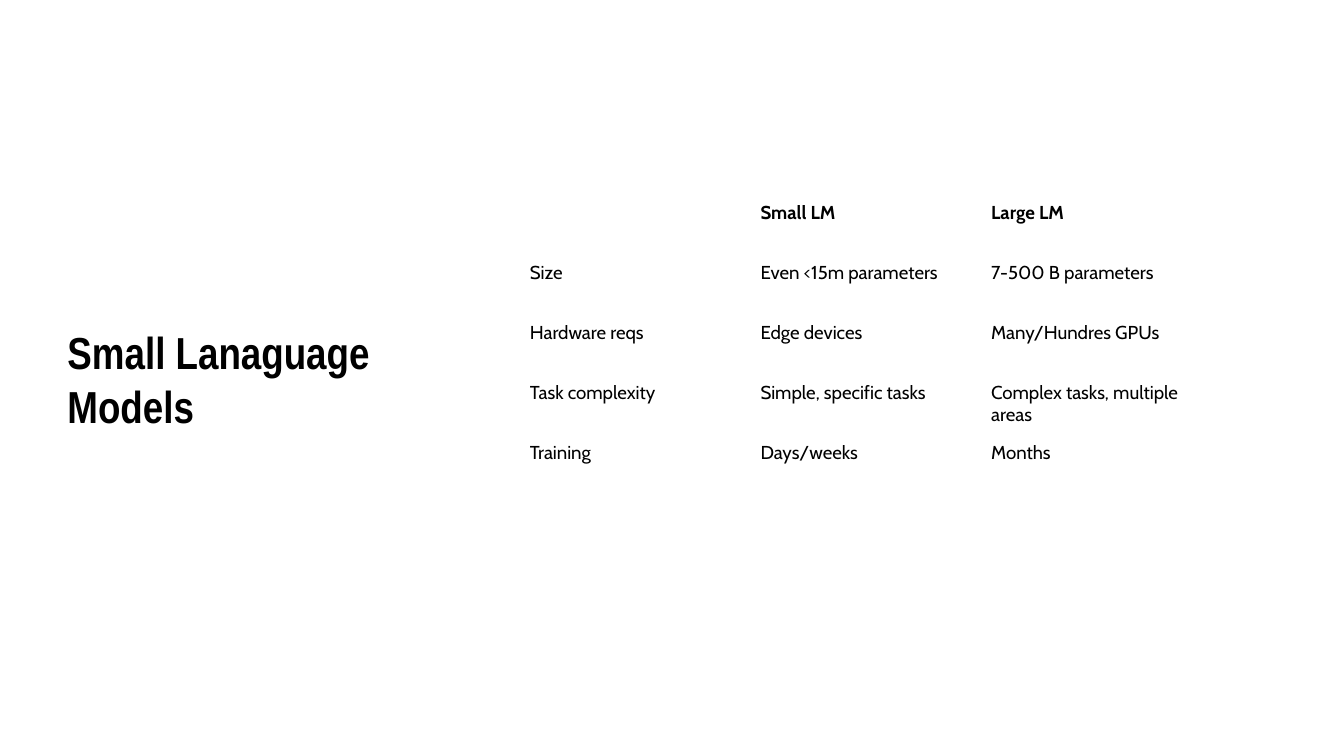
from pptx import Presentation
from pptx.dml.color import RGBColor
from pptx.enum.text import MSO_ANCHOR, PP_ALIGN
from pptx.util import Inches, Pt

SCALE = Inches(10) / 1344
INK = "000000"
ROWS = [
    ("", "Small LM", "Large LM"),
    ("Size", "Even <15m parameters", "7-500 B parameters"),
    ("Hardware reqs", "Edge devices", "Many/Hundres GPUs"),
    ("Task complexity", "Simple, specific tasks", "Complex tasks, multiple areas"),
    ("Training", "Days/weeks", "Months"),
]


def px(n):
    return round(n * SCALE)


def color(code):
    return RGBColor.from_string(code)


def add_run(para, text, font, size, bold=False):
    run = para.add_run()
    run.text = text
    run.font.name = font
    run.font.size = Pt(size)
    run.font.bold = bold
    run.font.color.rgb = color(INK)


def add_title(slide, left, top, width, height):
    title = slide.shapes.title
    title.left, title.top = px(left), px(top)
    title.width, title.height = px(width), px(height)
    frame = title.text_frame
    frame.word_wrap = True
    frame.vertical_anchor = MSO_ANCHOR.MIDDLE
    para = frame.paragraphs[0]
    para.alignment = PP_ALIGN.LEFT
    add_run(para, "Small Lanaguage Models", "Arial Narrow", 24, True)


def fill_cell(cell, text, bold):
    cell.fill.background()
    cell.margin_left = cell.margin_right = px(10)
    cell.margin_top = cell.margin_bottom = px(5)
    if text:
        add_run(cell.text_frame.paragraphs[0], text, "Cabin", 10, bold)


def add_grid(slide, left, top, width, height):
    table = slide.shapes.add_table(
        len(ROWS), len(ROWS[0]), px(left), px(top), px(width), px(height)
    ).table
    table.first_row = table.horz_banding = False
    # Equal rows and columns come from the box size
    for r, row in enumerate(ROWS):
        for c, text in enumerate(row):
            fill_cell(table.cell(r, c), text, bold=r == 0)


def main():
    deck = Presentation()
    deck.slide_width, deck.slide_height = px(1344), px(756)
    slide = deck.slides.add_slide(deck.slide_layouts[5])
    slide.background.fill.solid()
    slide.background.fill.fore_color.rgb = color("FFFFFF")

    # Heading on the left, comparison on the right
    add_title(slide, 54, 289, 353, 179)
    add_grid(slide, 520, 197, 692, 299)
    deck.save("out.pptx")


if __name__ == "__main__":
    main()
